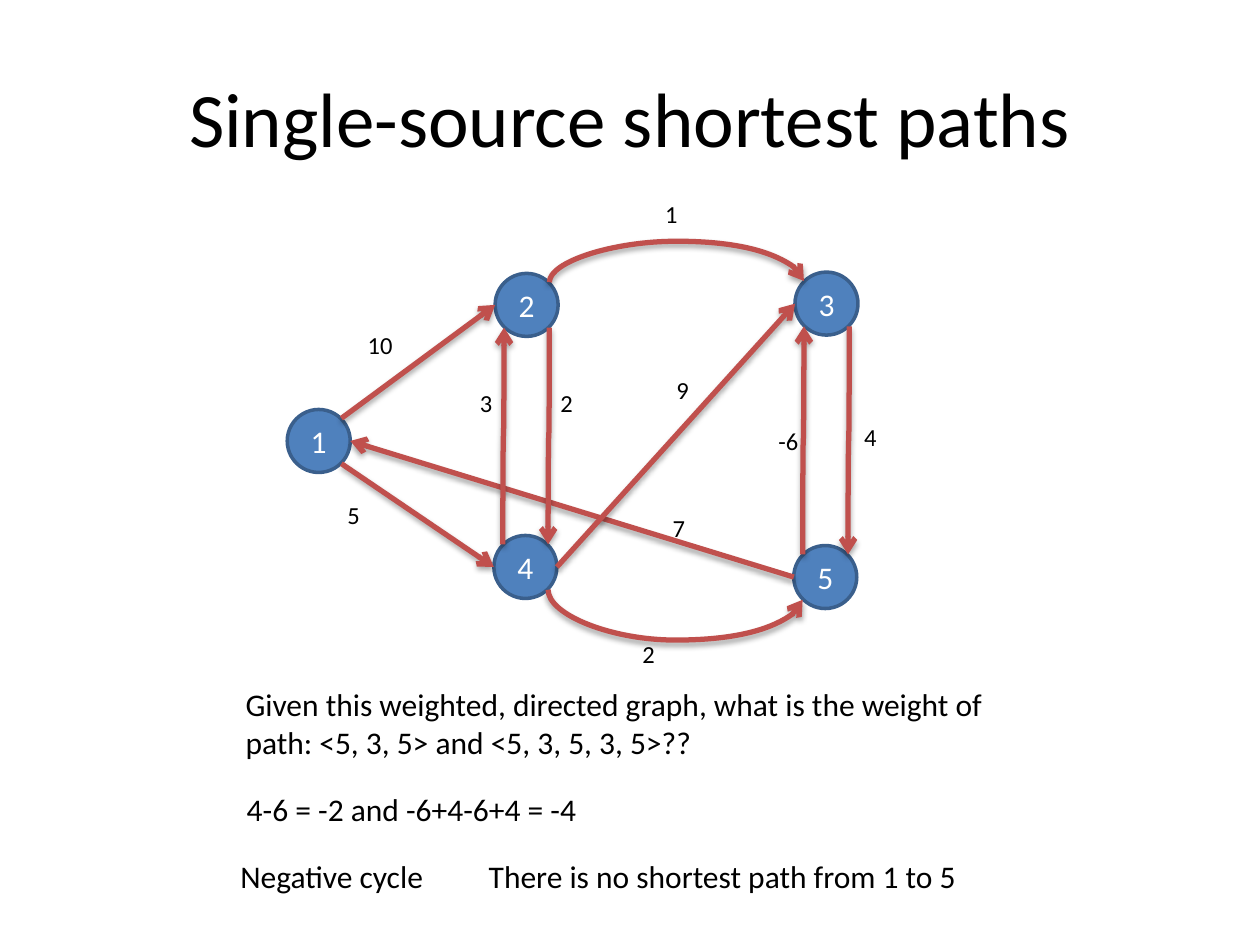
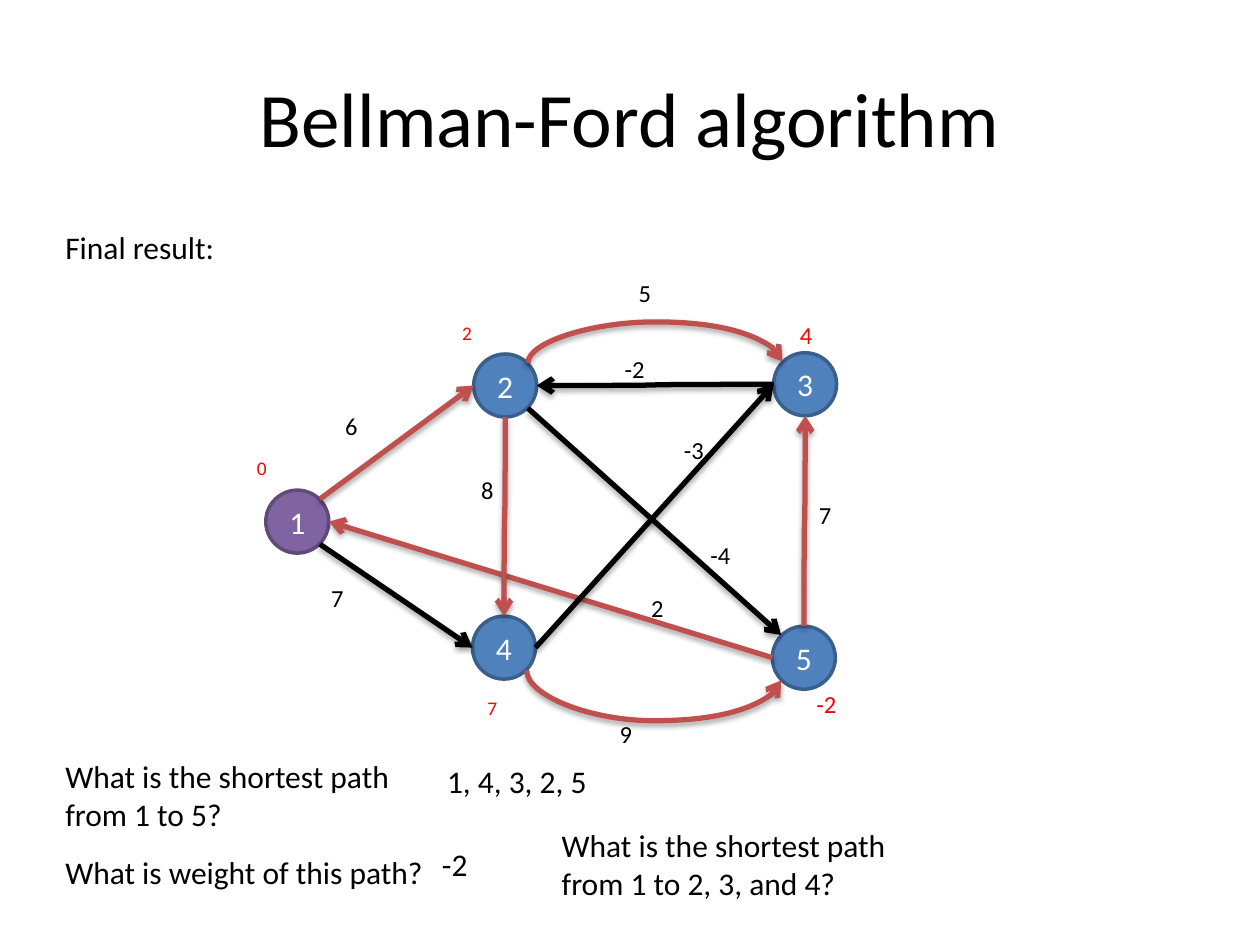
from lxml import etree
from pptx import Presentation
from pptx import util as u
from pptx.dml.color import RGBColor
from pptx.enum import shapes, text
from pptx.oxml.ns import qn

PX = 9144  # 100 px to the inch
FONT = "Calibri"
BLACK, WHITE, RED, EDGE = "000000", "FFFFFF", "FF0000", "C0504D"
BLUE, PURPLE = ("4F81BD", "3A5F8C"), ("8064A2", "5F4A78")
SIZE = 50  # node diameter
NODES = {1: (228, 325), 2: (393, 217), 3: (631, 216), 4: (392, 425), 5: (630, 433)}
SITES = {"N": (0, -25), "NE": (18, -18), "E": (25, 0), "SE": (18, 18),
         "S": (0, 25), "SW": (-18, 18), "W": (-25, 0), "NW": (-18, -18)}


def color(value):
    return RGBColor.from_string(value)


def write(frame, words, size, ink, **frame_format):
    frame.text = words
    for name, value in frame_format.items():
        setattr(frame, name, value)
    font = frame.paragraphs[0].runs[0].font
    for name, value in {"name": FONT, "size": u.Pt(size)}.items():
        setattr(font, name, value)
    font.color.rgb = color(ink)


# Edges: from, site, to, site, route, colour; a number is the bulge of a curve
# that leaves vertically, "S" a plain vertical curve, "H" a horizontal one
OUTER = [(1, "NE", 2, "W", "line", EDGE), (4, "SE", 5, "SW", 40, EDGE),
         (2, "NE", 3, "NW", -33, EDGE), (5, "W", 1, "E", "line", EDGE)]

# Labels: left, top, width, height, size, colour, words
PAGES = [
    {
        "title": "Single-source shortest paths",
        "shift": (0, 0),
        "source": BLUE,
        "edges": OUTER + [
            (2, "SE", 4, "NE", "S", EDGE), (1, "SE", 4, "W", "line", EDGE),
            (5, "NW", 3, "SW", "S", EDGE), (4, "NW", 2, "SW", "S", EDGE),
            (4, "E", 3, "W", "line", EDGE), (3, "SE", 5, "NE", "S", EDGE)],
        "weights": [
            (282, 257, "10"), (266, 392, "5"), (371, 303, "3"), (435, 303, "2"),
            (518, 153, "1"), (500, 502, "2"), (676, 330, "4"), (527, 293, "9"),
            (524, 402, "7"), (608, 333, "-6")],
        "distances": [],
        "notes": [
            (185, 539, 658, 71, "Given this weighted, directed graph, what is the weight of "
                                "path: <5, 3, 5> and <5, 3, 5, 3, 5>??"),
            (186, 622, 658, 40, "4-6 = -2 and -6+4-6+4 = -4"),
            (181, 675, 190, 40, "Negative cycle"),
            (378, 675, 422, 40, "There is no shortest path from 1 to 5")],
    },
    {
        "title": "Bellman-Ford algorithm",
        "shift": (-17, 64),
        "source": PURPLE,
        "edges": OUTER + [
            (2, "S", 4, "N", "S", EDGE), (1, "SE", 4, "W", "line", BLACK),
            (3, "W", 2, "E", "H", BLACK), (4, "E", 3, "W", "line", BLACK),
            (5, "N", 3, "S", "S", EDGE), (2, "SE", 5, "NW", "line", BLACK)],
        "weights": [
            (264, 321, "6"), (253, 458, "7"), (372, 372, "8"), (497, 216, "5"),
            (482, 566, "9"), (640, 392, "7"), (533, 340, "-3"), (507, 466, "2"),
            (554, 424, "-4"), (486, 276, "-2")],
        "distances": [
            (194, 357, 11, "0"), (357, 250, 11, "2"), (625, 249, 14, "4"),
            (377, 548, 11, "7"), (638, 542, 14, "-2")],
        "notes": [
            (42, 176, 376, 40, "Final result:"),
            (42, 596, 330, 71, "What is the shortest path from 1 to 5?"),
            (42, 672, 330, 40, "What is weight of this path?"),
            (345, 600, 330, 40, "1, 4, 3, 2, 5"),
            (341, 666, 330, 40, "-2"),
            (436, 651, 330, 71, "What is the shortest path from 1 to 2, 3, and 4?")],
    },
]

deck = Presentation()
deck.slide_width, deck.slide_height = 1000 * PX, 750 * PX

for content in PAGES:
    page = deck.slides.add_slide(deck.slide_layouts[5])
    shift_x, shift_y = content["shift"]

    # Title
    title = page.shapes.title
    for name, value in {"left": 50, "top": 30, "width": 900, "height": 125}.items():
        setattr(title, name, value * PX)
    write(title.text_frame, content["title"], 44, BLACK,
          vertical_anchor=text.MSO_ANCHOR.MIDDLE)
    title.text_frame.paragraphs[0].alignment = text.PP_ALIGN.CENTER

    # Graph nodes
    centers = {}
    for number, (left, top) in NODES.items():
        left, top = left + shift_x, top + shift_y
        centers[number] = (left + SIZE // 2, top + SIZE // 2)
        fill, outline = content["source"] if number == 1 else BLUE
        node = page.shapes.add_shape(shapes.MSO_SHAPE.OVAL, left * PX, top * PX,
                                     SIZE * PX, SIZE * PX)
        node.shadow.inherit = False
        node.fill.solid()
        node.fill.fore_color.rgb = color(fill)
        node.line.color.rgb = color(outline)
        node.line.width = u.Pt(2)
        write(node.text_frame, str(number), 18, WHITE,
              vertical_anchor=text.MSO_ANCHOR.MIDDLE)
        node.text_frame.paragraphs[0].alignment = text.PP_ALIGN.CENTER

    # Graph edges
    for start, start_site, end, end_site, route, ink in content["edges"]:
        x1, y1 = (c + s for c, s in zip(centers[start], SITES[start_site]))
        x2, y2 = (c + s for c, s in zip(centers[end], SITES[end_site]))
        dx, dy = x2 - x1, y2 - y1
        vertical = route not in ("line", "H")
        if vertical:  # lay the frame flat, then turn it a quarter
            mid_x, mid_y = (x1 + x2) / 2, (y1 + y2) / 2
            x1, y1 = mid_x - dy / 2, mid_y + dx / 2
            x2, y2 = mid_x + dy / 2, mid_y - dx / 2
        kind = shapes.MSO_CONNECTOR.STRAIGHT if route == "line" else shapes.MSO_CONNECTOR.CURVE
        edge = page.shapes.add_connector(kind, *(int(v * PX) for v in (x1, y1, x2, y2)))
        edge.line.color.rgb = color(ink)
        edge.line.width = u.Pt(3)
        properties = edge.element.spPr
        if vertical:
            properties.find(qn("a:xfrm")).set("rot", "5400000")
        if isinstance(route, int):
            guides = properties.find(qn("a:prstGeom")).get_or_add_avLst()
            etree.SubElement(guides, qn("a:gd"), name="adj1",
                             fmla=f"val {round(route / dy * 100000)}")
        etree.SubElement(properties.find(qn("a:ln")), qn("a:tailEnd"), type="arrow")
        effects = etree.SubElement(properties, qn("a:effectLst"))
        shadow = etree.SubElement(effects, qn("a:outerShdw"), blurRad="40000",
                                  dist="23000", dir="5400000", rotWithShape="0")
        shade = etree.SubElement(shadow, qn("a:srgbClr"), val=BLACK)
        etree.SubElement(shade, qn("a:alpha"), val="35000")

    # Weights, distances and notes
    labels = [(x, y, 47, 34, 14, BLACK, words) for x, y, words in content["weights"]]
    labels += [(x, y, 39, 34 if size == 14 else 29, size, RED, words)
               for x, y, size, words in content["distances"]]
    labels += [(x, y, w, h, 18, BLACK, words) for x, y, w, h, words in content["notes"]]
    for x, y, width, height, size, ink, words in labels:
        box = page.shapes.add_textbox(x * PX, y * PX, width * PX, height * PX)
        write(box.text_frame, words, size, ink, word_wrap=True,
              auto_size=text.MSO_AUTO_SIZE.SHAPE_TO_FIT_TEXT)

deck.save("out.pptx")
